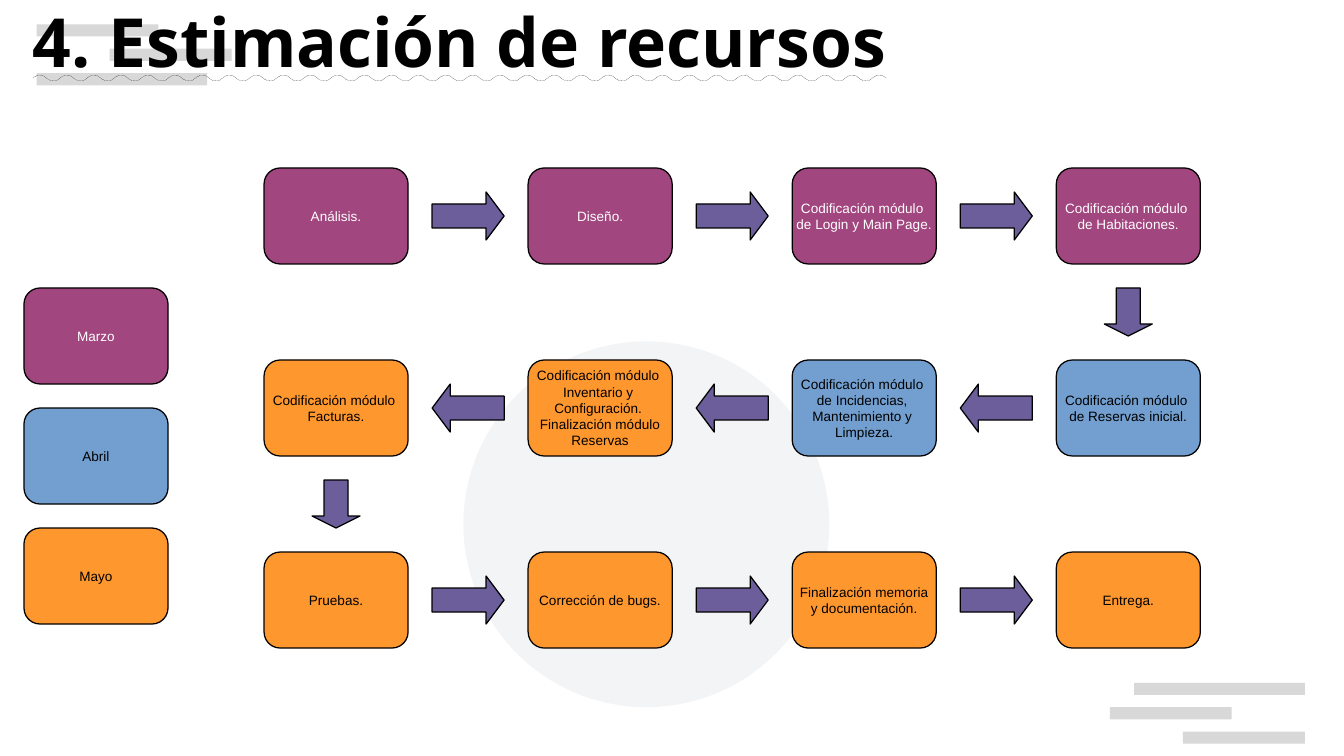
from dataclasses import dataclass

from lxml import etree
from pptx import Presentation
from pptx.dml.color import RGBColor
from pptx.enum.shapes import MSO_SHAPE
from pptx.enum.text import MSO_ANCHOR, MSO_UNDERLINE, PP_ALIGN
from pptx.oxml.ns import qn
from pptx.shapes.autoshape import Shape
from pptx.slide import Slide
from pptx.util import Inches, Pt

RECTANGLE, ELLIPSE = MSO_SHAPE.RECTANGLE, MSO_SHAPE.OVAL
ROUNDED = MSO_SHAPE.ROUNDED_RECTANGLE
RIGHT_ARROW, DOWN_ARROW = MSO_SHAPE.RIGHT_ARROW, MSO_SHAPE.DOWN_ARROW
TOP, MIDDLE = MSO_ANCHOR.TOP, MSO_ANCHOR.MIDDLE
LEFT, CENTER = PP_ALIGN.LEFT, PP_ALIGN.CENTER
WAVY = MSO_UNDERLINE.WAVY_LINE


@dataclass(frozen=True)
class Theme:
    black: str = "000000"
    white: str = "FFFFFF"
    plum: str = "A1467E"
    blue: str = "729FCF"
    orange: str = "FF972F"
    arrow: str = "6B5E9B"
    bar: str = "CCCCCC"
    disc: str = "8D99AE"
    title_font: str = "Noto Sans"
    box_font: str = "Arial"
    title_size: int = 40
    box_size: int = 8


@dataclass(frozen=True)
class Month:
    name: str
    fill: str
    ink: str


@dataclass(frozen=True)
class Step:
    text: str
    month: Month


@dataclass(frozen=True)
class Decoration:
    kind: MSO_SHAPE
    left: float
    top: float
    width: float
    height: float
    color: str
    opacity: int


THEME = Theme()
MARCH = Month("Marzo", THEME.plum, THEME.white)
APRIL = Month("Abril", THEME.blue, THEME.black)
MAY = Month("Mayo", THEME.orange, THEME.black)

STEPS = [
    Step("Análisis.", MARCH),
    Step("Diseño.", MARCH),
    Step("Codificación módulo \nde Login y Main Page.", MARCH),
    Step("Codificación módulo \nde Habitaciones.", MARCH),
    Step("Codificación módulo \nde Reservas inicial.", APRIL),
    Step("Codificación módulo \nde Incidencias, \nMantenimiento y \vLimpieza.", APRIL),
    Step("Codificación módulo \nInventario y \nConfiguración. \n"
         "Finalización módulo\nReservas", MAY),
    Step("Codificación módulo \nFacturas.", MAY),
    Step("Pruebas.", MAY),
    Step("Corrección de bugs.", MAY),
    Step("Finalización memoria\vy documentación.", MAY),
    Step("Entrega.", MAY),
]

BARS = [(9.3, 5.6, 1.4), (9.1, 5.8, 1), (9.7, 6, 1),
        (0.3, 0.6, 1.4), (0.9, 0.4, 1), (0.3, 0.2, 1)]
DECORATIONS = [
    *(Decoration(RECTANGLE, left, top, width, 0.1, THEME.bar, 75)
      for left, top, width in BARS),
    Decoration(ELLIPSE, 3.8, 2.8, 3, 3, THEME.disc, 10),
]

# Boxes and arrows sit on a half-centimetre grid; these are counted in cells.
CELL = 0.5 / 2.54
BOX_WIDTH, BOX_HEIGHT = 6, 4
FLOW_LEFT, FLOW_TOP = 11, 7
COLUMN_PITCH, ROW_PITCH, COLUMNS = 11, 8, 4
LEGEND_LEFT, LEGEND_TOP, LEGEND_PITCH = 1, 12, 5


def add_filled(slide: Slide, kind: MSO_SHAPE, left: float, top: float,
               width: float, height: float, color: str) -> Shape:
    shape = slide.shapes.add_shape(
        kind, Inches(left), Inches(top), Inches(width), Inches(height))
    shape.shadow.inherit = False
    shape.fill.solid()
    shape.fill.fore_color.rgb = RGBColor.from_string(color)
    return shape


def add_decoration(slide: Slide, item: Decoration) -> None:
    shape = add_filled(slide, item.kind, item.left, item.top,
                       item.width, item.height, item.color)
    shape.line.fill.background()
    color = shape.element.spPr.find(f"{qn('a:solidFill')}/{qn('a:srgbClr')}")
    etree.SubElement(color, qn("a:alpha"), val=str(item.opacity * 1000))


def add_on_grid(slide: Slide, kind: MSO_SHAPE, column: int, row: int,
                width: int, height: int, color: str) -> Shape:
    """Add a hairline-outlined shape measured in grid cells."""
    shape = add_filled(slide, kind, column * CELL, row * CELL,
                       width * CELL, height * CELL, color)
    shape.line.color.rgb = RGBColor.from_string(THEME.black)
    shape.line.width = Pt(0)
    return shape


def add_box(slide: Slide, column: int, row: int, text: str, month: Month) -> None:
    box = add_on_grid(slide, ROUNDED, column, row, BOX_WIDTH, BOX_HEIGHT, month.fill)
    box.adjustments[0] = 0.167
    frame = box.text_frame
    frame.text = text
    frame.word_wrap = False
    frame.vertical_anchor = MIDDLE
    for paragraph in frame.paragraphs:
        paragraph.alignment = CENTER
        for run in paragraph.runs:
            run.font.name = THEME.box_font
            run.font.size = Pt(THEME.box_size)
            run.font.color.rgb = RGBColor.from_string(month.ink)


def add_side_arrow(slide: Slide, column: int, row: int, backwards: bool) -> None:
    arrow = add_on_grid(slide, RIGHT_ARROW, column, row, 3, 2, THEME.arrow)
    arrow.adjustments[1] = 0.375
    arrow.rotation = 180 if backwards else 0


def add_down_arrow(slide: Slide, column: int, row: int) -> None:
    arrow = add_on_grid(slide, DOWN_ARROW, column, row, 2, 2, THEME.arrow)
    arrow.adjustments[1] = 0.25


def add_flow(slide: Slide) -> None:
    """Lay the steps out in a serpentine, with an arrow after each but the last."""
    for index, step in enumerate(STEPS):
        row, place = divmod(index, COLUMNS)
        backwards = row % 2 == 1
        slot = COLUMNS - 1 - place if backwards else place
        left = FLOW_LEFT + slot * COLUMN_PITCH
        top = FLOW_TOP + row * ROW_PITCH
        add_box(slide, left, top, step.text, step.month)
        if place < COLUMNS - 1:
            offset = -4 if backwards else BOX_WIDTH + 1
            add_side_arrow(slide, left + offset, top + 1, backwards)
        elif index < len(STEPS) - 1:
            add_down_arrow(slide, left + 2, top + BOX_HEIGHT + 1)


def add_legend(slide: Slide) -> None:
    for index, month in enumerate((MARCH, APRIL, MAY)):
        add_box(slide, LEGEND_LEFT, LEGEND_TOP + index * LEGEND_PITCH,
                month.name, month)


def set_title(slide: Slide, text: str) -> None:
    title = slide.shapes.title
    title.left, title.top = Inches(0.17), Inches(0)
    title.width, title.height = Inches(8.1), Inches(1.61)
    frame = title.text_frame
    frame.text = text
    frame.word_wrap = True
    frame.vertical_anchor = TOP
    paragraph = frame.paragraphs[0]
    paragraph.alignment = LEFT
    paragraph.line_spacing = 0.95
    font = paragraph.runs[0].font
    font.name, font.size = THEME.title_font, Pt(THEME.title_size)
    font.bold, font.underline = True, WAVY
    font.color.rgb = RGBColor.from_string(THEME.black)
    # Bring the title in front of the decorations.
    slide.shapes.element.append(title.element)


def main() -> None:
    deck = Presentation()
    deck.slide_width, deck.slide_height = Inches(11.02), Inches(6.2)
    slide = deck.slides.add_slide(deck.slide_layouts[5])
    for item in DECORATIONS:
        add_decoration(slide, item)
    set_title(slide, "4. Estimación de recursos")
    add_flow(slide)
    add_legend(slide)
    deck.save("out.pptx")


if __name__ == "__main__":
    main()
